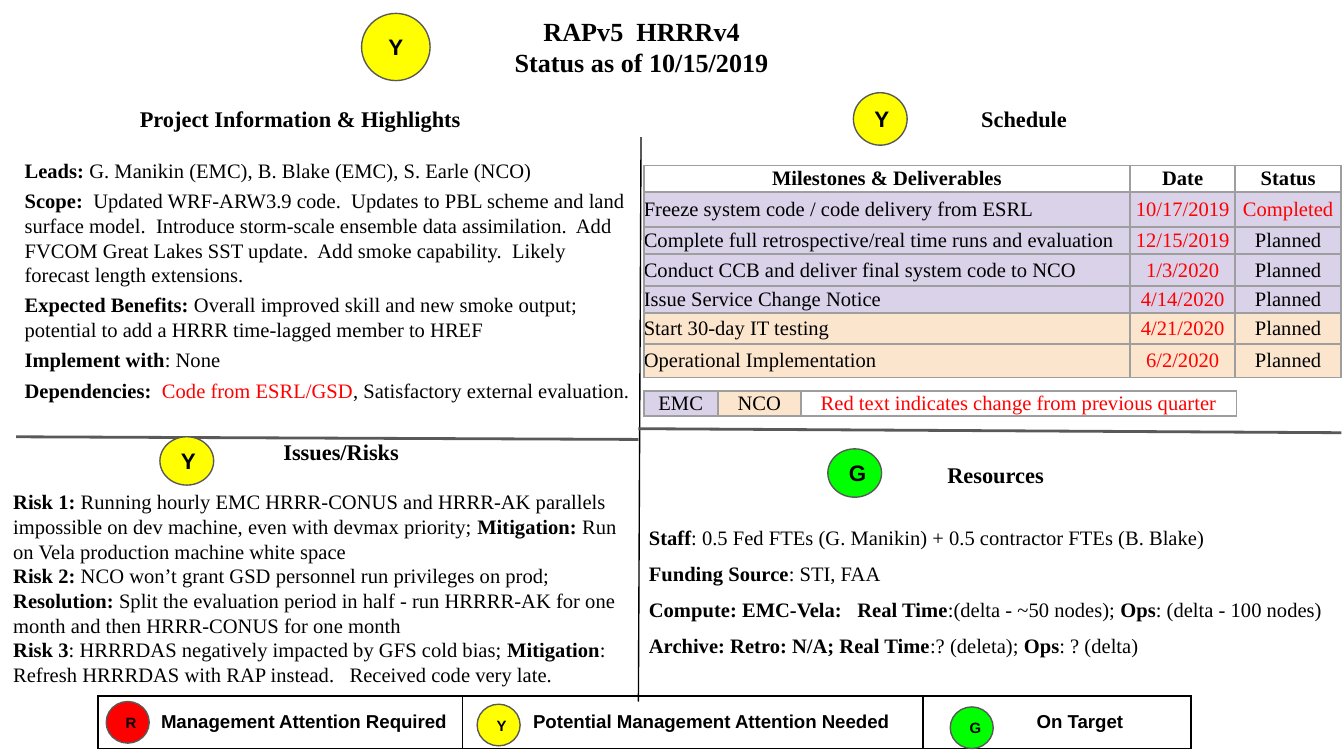
"""Build the RAPv5 HRRRv4 project status slide."""
from lxml import etree
from pptx import Presentation
from pptx.dml.color import RGBColor
from pptx.enum.shapes import MSO_CONNECTOR, MSO_SHAPE
from pptx.enum.text import MSO_ANCHOR, PP_ALIGN
from pptx.oxml.ns import qn
from pptx.util import Inches, Pt

LEFT, CENTER = PP_ALIGN.LEFT, PP_ALIGN.CENTER
TOP, MIDDLE = MSO_ANCHOR.TOP, MSO_ANCHOR.MIDDLE
OVAL, STRAIGHT = MSO_SHAPE.OVAL, MSO_CONNECTOR.STRAIGHT
BLACK = RGBColor(0x00, 0x00, 0x00)
RED = RGBColor(0xFF, 0x00, 0x00)
YELLOW = RGBColor(0xFF, 0xFF, 0x00)
GREEN = RGBColor(0x00, 0xFF, 0x00)
GRAY = RGBColor(0x59, 0x59, 0x59)
SILVER = RGBColor(0x9E, 0x9E, 0x9E)
LILAC = RGBColor(0xD9, 0xD2, 0xE9)
PEACH = RGBColor(0xFC, 0xE5, 0xCD)
SERIF, SANS = "Times New Roman", "Arial"

prs = Presentation()
prs.slide_width = Inches(10)
prs.slide_height = prs.slide_width * 9 // 16
s = prs.slides.add_slide(prs.slide_layouts[6])
COL = prs.slide_width / 100
ROW = prs.slide_height / 56.25
INSET = Inches(0.1)


def write(tf, lines, size, font, align, space=0):
    """Write lines whose parts, split at *, alternate bold and plain; ^ marks red."""
    for i, line in enumerate(lines):
        p = tf.paragraphs[0] if i == 0 else tf.add_paragraph()
        p.alignment = align
        if i and space:
            p.space_before = Pt(space)
        for j, part in enumerate(line.split("*")):
            if part:
                r = p.add_run()
                r.text = part.lstrip("^")
                r.font.name, r.font.size = font, Pt(size)
                r.font.bold = j % 2 == 0
                r.font.color.rgb = RED if part.startswith("^") else BLACK


def add_grid(x, y, widths, heights, texts, fills, border, size, font):
    """Add a bordered table and return it."""
    frame = s.shapes.add_table(len(heights), len(widths), int(x * COL), int(y * ROW),
                               int(sum(widths) * COL), int(sum(heights) * ROW))
    table = frame.table
    table.first_row = table.horz_banding = False
    for column, width in zip(table.columns, widths):
        column.width = int(width * COL)
    for i, height in enumerate(heights):
        table.rows[i].height = int(height * ROW)
        for j, text in enumerate(texts[i]):
            cell = table.cell(i, j)
            cell.margin_left = cell.margin_right = cell.margin_top = cell.margin_bottom = 0
            cell.vertical_anchor = MIDDLE
            tcPr = cell._tc.get_or_add_tcPr()
            for side in ("lnL", "lnR", "lnT", "lnB"):
                ln = etree.SubElement(tcPr, qn("a:" + side), w=str(Pt(1)))
                fill = etree.SubElement(ln, qn("a:solidFill"))
                etree.SubElement(fill, qn("a:srgbClr"), val=str(border))
            if fills[i][j] is None:
                cell.fill.background()
            else:
                cell.fill.solid()
                cell.fill.fore_color.rgb = fills[i][j]
            write(cell.text_frame, [text], size, font, CENTER)
    return table


highlights = [
    "Leads: *G. Manikin (EMC), B. Blake (EMC), S. Earle (NCO)",
    "Scope:  *Updated WRF-ARW3.9 code.  Updates to PBL scheme and land surface model.  "
    "Introduce storm-scale ensemble data assimilation.  Add FVCOM Great Lakes SST update.  "
    "Add smoke capability.  Likely forecast length extensions.",
    "Expected Benefits:* Overall improved skill and new smoke output; "
    "potential to add a HRRR time-lagged member to HREF",
    "Implement with*: None",
    "Dependencies:  *^Code from ESRL/GSD**, Satisfactory external evaluation.",
]
risks = [
    "Risk 1: *Running hourly EMC HRRR-CONUS and HRRR-AK parallels impossible on dev machine, "
    "even with devmax priority; *Mitigation:* Run on Vela production machine white space",
    "Risk 2:* NCO won’t grant GSD personnel run privileges on prod; *Resolution:* Split the "
    "evaluation period in half - run HRRRR-AK for one month and then HRRR-CONUS for one month",
    "Risk 3*: HRRRDAS negatively impacted by GFS cold bias; *Mitigation*:  "
    "Refresh HRRRDAS with RAP instead.   Received code very late.",
]
resources = [
    "Staff*: 0.5 Fed FTEs (G. Manikin) + 0.5 contractor FTEs (B. Blake)",
    "Funding Source*: STI, FAA",
    "Compute: EMC-Vela:   Real Time*:(delta - ~50 nodes); *Ops*: (delta - 100 nodes)",
    "Archive: Retro: N/A; Real Time*:? (deleta); *Ops*: ? (delta)",
]
title = ["RAPv5  HRRRv4", "Status as of 10/15/2019"]

for x, y, w, h, lines, size, align, anchor, space in [
    (0.85, 10.75, 47, 20.8, highlights, 11, LEFT, TOP, 3),
    (33.1, 0.4, 29.3, 6.1, title, 14, CENTER, MIDDLE, 0),
    (70.05, 7.4, 12.3, 2.8, ["Schedule"], 12, CENTER, MIDDLE, 0),
    (8.4, 7.3, 27.9, 3.1, ["Project Information & Highlights"], 12, CENTER, MIDDLE, 0),
    (0, 35.4, 47.7, 16.8, risks, 11, LEFT, TOP, 0),
    (20.1, 32.2, 13.5, 2.8, ["Issues/Risks"], 12, LEFT, MIDDLE, 0),
    (69.5, 33.9, 10.9, 2.8, ["Resources"], 12, LEFT, MIDDLE, 0),
    (47.3, 38.1, 52.7, 13.1, resources, 11, LEFT, TOP, 6),
]:
    sp = s.shapes.add_textbox(int(x * COL), int(y * ROW), int(w * COL), int(h * ROW))
    tf = sp.text_frame
    tf.word_wrap, tf.vertical_anchor = True, anchor
    tf.margin_left = tf.margin_right = tf.margin_top = tf.margin_bottom = INSET
    write(tf, lines, size, SERIF, align, space)

milestones = [
    ("Freeze system code / code delivery from ESRL", "10/17/2019", "^Completed"),
    ("Complete full retrospective/real time runs and evaluation", "12/15/2019", "Planned"),
    ("Conduct CCB and deliver final system code to NCO", "1/3/2020", "Planned"),
    ("Issue Service Change Notice", "4/14/2020", "Planned"),
    ("Start 30-day IT testing", "4/21/2020", "Planned"),
    ("Operational Implementation", "6/2/2020", "Planned"),
]
schedule = [("Milestones & Deliverables", "Date", "Status")]
schedule += [("*" + task, "*^" + date, "*" + status) for task, date, status in milestones]
schedule_fills = [[None] * 3] + [[LILAC] * 3] * 4 + [[PEACH] * 3] * 2
table = add_grid(47.9, 12.3, [36.2, 7.8, 7.9], [2, 2.6, 2, 2.4, 2, 2.3, 2.5],
                 schedule, schedule_fills, SILVER, 11, SERIF)
for i in range(1, len(schedule)):
    table.cell(i, 0).text_frame.paragraphs[0].alignment = LEFT

key = ["*EMC", "*NCO", "*^Red text indicates change from previous quarter"]
add_grid(47.9, 29.1, [5.5, 6.2, 32.4], [1.5], [key], [[LILAC, PEACH, None]],
         SILVER, 11, SERIF)

legend = ["Management Attention Required", "Potential Management Attention Needed", "On Target"]
table = add_grid(7.3, 51.8, [27.1, 34.3, 19.9], [3.9], [legend], [[None] * 3],
                 BLACK, 10, SANS)
for j, indent in enumerate([3.5, 2.7, 3.4]):
    table.cell(0, j).margin_left = int(indent * COL)

for x1, y1, x2, y2, color, width in [
    (1.2, 32.5, 47.5, 32.7, GRAY, 1.5),
    (47.7, 10.2, 47.5, 52.2, BLACK, 0.75),
    (47.5, 31.9, 99.8, 32.2, GRAY, 1.5),
]:
    sp = s.shapes.add_connector(STRAIGHT, int(x1 * COL), int(y1 * ROW),
                                int(x2 * COL), int(y2 * ROW))
    sp.line.color.rgb, sp.line.width = color, Pt(width)
    etree.SubElement(sp._element.spPr, qn("a:effectLst"))

for x, y, w, h, letter, color, size, align in [
    (70.7, 52.6, 3.2, 3.1, "G", GREEN, 8, LEFT),
    (35.5, 52.4, 3.2, 3.1, "Y", YELLOW, 8, LEFT),
    (7.9, 52.2, 3.2, 3.1, "R", RED, 8, LEFT),
    (61.6, 33.4, 4, 3.6, "G", GREEN, 12, CENTER),
    (26.9, 1, 5.1, 5, "Y", YELLOW, 12, CENTER),
    (11.9, 32.5, 4, 3.6, "Y", YELLOW, 12, CENTER),
    (63.5, 6.9, 4, 3.9, "Y", YELLOW, 12, CENTER),
]:
    sp = s.shapes.add_shape(OVAL, int(x * COL), int(y * ROW), int(w * COL), int(h * ROW))
    sp.shadow.inherit = False
    sp.fill.solid()
    sp.fill.fore_color.rgb = color
    sp.line.color.rgb, sp.line.width = GRAY, Pt(0.75)
    tf = sp.text_frame
    tf.vertical_anchor = MIDDLE
    tf.margin_left = tf.margin_right = tf.margin_top = tf.margin_bottom = INSET
    write(tf, [letter], size, SANS, align)

prs.save("out.pptx")
